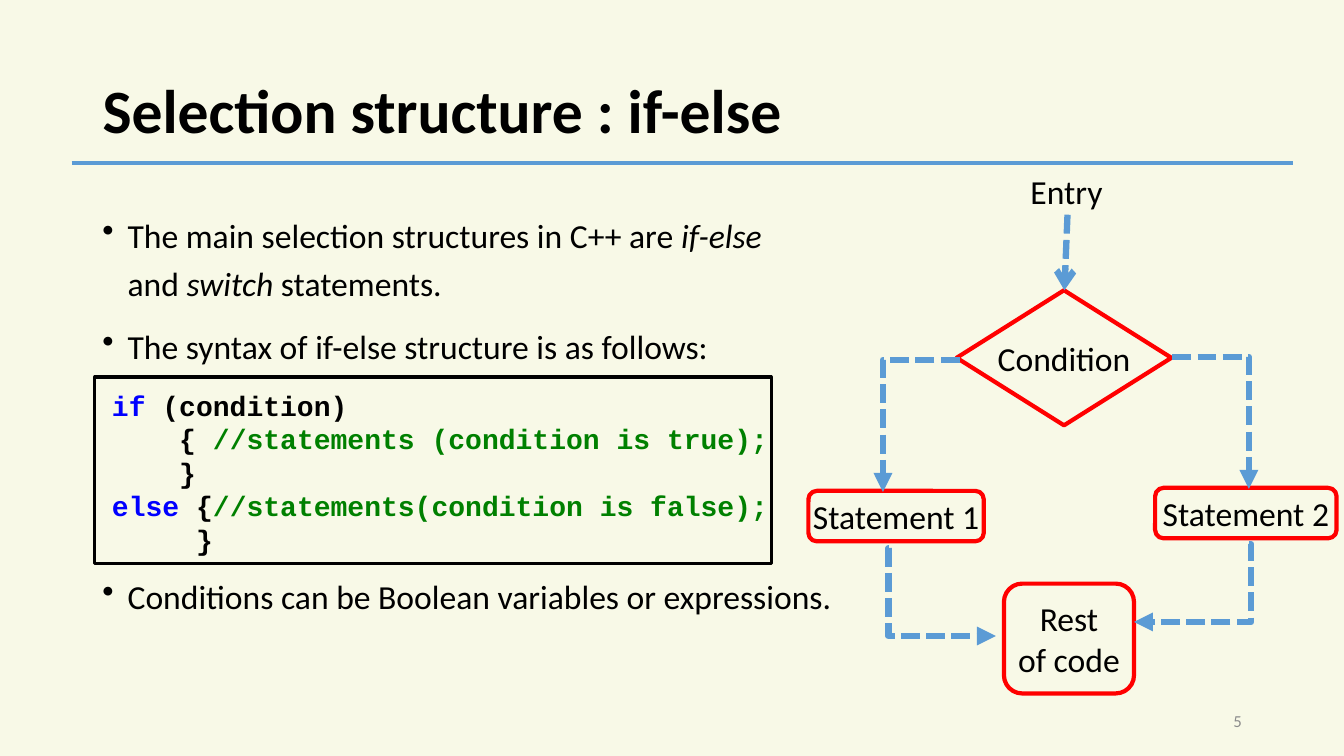
"""Build the slide on the if-else selection structure with its flowchart."""
from typing import NamedTuple, Optional

from pptx import Presentation
from pptx.dml.color import RGBColor
from pptx.enum.dml import MSO_LINE
from pptx.enum.shapes import MSO_CONNECTOR, MSO_SHAPE
from pptx.enum.text import MSO_ANCHOR, PP_ALIGN
from pptx.oxml.ns import qn
from pptx.oxml.xmlchemy import OxmlElement
from pptx.util import Inches, Pt

CREAM = RGBColor(0xF8, 0xF9, 0xE7)
BLACK = RGBColor(0, 0, 0)
GREY = RGBColor(0x8C, 0x8C, 0x8C)
BLUE = RGBColor(0x5B, 0x9B, 0xD5)
RED = RGBColor(0xFF, 0, 0)
KEYWORD = RGBColor(0, 0, 0xFF)
REMARK = RGBColor(0, 0x80, 0)
SLIDE_WIDTH, SLIDE_HEIGHT = Inches(13.333), Inches(7.5)


class Area(NamedTuple):
    """Left, top, width and height in percent of the slide."""
    left: float
    top: float
    width: float
    height: float


class Piece(NamedTuple):
    """A run of text with its look."""
    text: str
    size: float = 24
    color: RGBColor = BLACK
    bold: bool = False
    italic: bool = False
    font: str = "Calibri"


class Node(NamedTuple):
    """A flowchart step."""
    lines: tuple[str, ...]
    outline: MSO_SHAPE
    area: Area


class Link(NamedTuple):
    """A line between two points in percent of the slide."""
    start: tuple[float, float]
    end: tuple[float, float]
    geometry: str = "line"
    bend: Optional[int] = None
    head: Optional[str] = "triangle"
    weight: float = 4.5


NODES = (
    Node(("Condition",), MSO_SHAPE.FLOWCHART_DECISION, Area(71.18, 38.4, 15.98, 17.87)),
    Node(("Statement 1",), MSO_SHAPE.ROUNDED_RECTANGLE, Area(60.15, 64.93, 13.05, 6.67)),
    Node(("Statement 2",), MSO_SHAPE.ROUNDED_RECTANGLE, Area(85.95, 64.53, 13.5, 6.67)),
    Node(("Rest", "of code"), MSO_SHAPE.ROUNDED_RECTANGLE, Area(74.7, 77.2, 9.68, 14.53)),
)
LINKS = (
    Link((5.33, 21.6), (96.23, 21.6), head=None, weight=3),
    Link((79.43, 28.4), (79.2, 38.4), head="arrow"),
    Link((87.23, 47.2), (92.93, 64.67), "bentConnector2"),
    Link((71.4, 47.6), (65.7, 65.07), "bentConnector2"),
    Link((66.15, 72.53), (74.1, 84.13), "bentConnector3", -600),
    Link((92.93, 72), (84.38, 82.27), "bentConnector3", -2100),
)
BULLETS = (
    (0, (Piece("The main selection structures in C++ are "), Piece("if-else", italic=True),
         Piece("\n"), Piece("and "), Piece("switch", italic=True), Piece(" statements."))),
    (10, (Piece("The syntax of if-else structure is as follows:"),)),
    (144, (Piece("Conditions can be Boolean variables or expressions."),)),
)
CODE = (
    (("if", KEYWORD), (" (condition)", BLACK)),
    (("    { ", BLACK), ("//statements (condition is true);", REMARK)),
    (("    }", BLACK),),
    (("else", KEYWORD), (" {", BLACK), ("//statements(condition is false);", REMARK)),
    (("     }", BLACK),),
)


def across(percent: float) -> int:
    """Turn a share of the width into a length."""
    return round(SLIDE_WIDTH * percent / 100)


def down(percent: float) -> int:
    """Turn a share of the height into a length."""
    return round(SLIDE_HEIGHT * percent / 100)


def place(area: Area) -> tuple[int, int, int, int]:
    """Turn an area into lengths."""
    return across(area.left), down(area.top), across(area.width), down(area.height)


def write(paragraph, pieces: tuple[Piece, ...], align=PP_ALIGN.LEFT) -> None:
    """Add the pieces to a paragraph run by run."""
    paragraph.alignment = align
    for piece in pieces:
        if piece.text == "\n":
            paragraph.add_line_break()
            continue
        run = paragraph.add_run()
        run.text = piece.text
        font = run.font
        font.name, font.size = piece.font, Pt(piece.size)
        font.bold, font.italic = piece.bold, piece.italic
        font.color.rgb = piece.color


def write_lines(frame, lines, align=PP_ALIGN.LEFT) -> None:
    """Write one paragraph for each line."""
    for number, pieces in enumerate(lines):
        paragraph = frame.add_paragraph() if number else frame.paragraphs[0]
        write(paragraph, pieces, align)


def add_caption(slide, area: Area, piece: Piece, align) -> None:
    """Add a single line of free text."""
    frame = slide.shapes.add_textbox(*place(area)).text_frame
    frame.word_wrap = True
    frame.vertical_anchor = MSO_ANCHOR.MIDDLE
    write(frame.paragraphs[0], (piece,), align)


def add_outline(slide, kind, area: Area, color: RGBColor, weight: float):
    """Add an unfilled shape and return its text frame without margins."""
    shape = slide.shapes.add_shape(kind, *place(area))
    shape.shadow.inherit = False
    shape.fill.background()
    shape.line.color.rgb, shape.line.width = color, Pt(weight)
    frame = shape.text_frame
    frame.margin_left = frame.margin_right = frame.margin_top = frame.margin_bottom = 0
    return frame


def add_node(slide, node: Node) -> None:
    """Draw a flowchart step with its label."""
    frame = add_outline(slide, node.outline, node.area, RED, 3)
    frame.word_wrap = False
    frame.vertical_anchor = MSO_ANCHOR.MIDDLE
    write_lines(frame, [(Piece(line),) for line in node.lines], PP_ALIGN.CENTER)


def add_link(slide, link: Link) -> None:
    """Draw a straight or bent line, dashed where it has an arrowhead."""
    kind = MSO_CONNECTOR.STRAIGHT if link.geometry == "line" else MSO_CONNECTOR.ELBOW
    (x1, y1), (x2, y2) = link.start, link.end
    connector = slide.shapes.add_connector(kind, across(x1), down(y1), across(x2), down(y2))
    connector.line.color.rgb, connector.line.width = BLUE, Pt(link.weight)
    properties = connector._element.spPr
    geometry = properties.find(qn("a:prstGeom"))
    geometry.set("prst", link.geometry)
    if link.bend is not None:
        guide = OxmlElement("a:gd")
        guide.set("name", "adj1")
        guide.set("fmla", f"val {link.bend}")
        geometry.find(qn("a:avLst")).append(guide)
    if link.head:
        connector.line.dash_style = MSO_LINE.SQUARE_DOT
        tail = OxmlElement("a:tailEnd")
        tail.set("type", link.head)
        properties.find(qn("a:ln")).append(tail)
    properties.append(OxmlElement("a:effectLst"))


def add_bullets(slide) -> None:
    """Write the bulleted explanation."""
    frame = slide.shapes.add_textbox(*place(Area(6.88, 26.67, 86.25, 63.47))).text_frame
    frame.word_wrap = True
    write_lines(frame, [pieces for _, pieces in BULLETS])
    for paragraph, (space, _) in zip(frame.paragraphs, BULLETS):
        paragraph.line_spacing, paragraph.space_before = 1.2, Pt(space)
        properties = paragraph._p.get_or_add_pPr()
        properties.set("marL", str(Inches(0.25)))
        properties.set("indent", str(-Inches(0.25)))
        bullet = OxmlElement("a:buChar")
        bullet.set("char", "•")
        properties.append(bullet)


def add_code(slide) -> None:
    """Write the framed syntax listing."""
    area = Area(7.05, 49.87, 50.33, 24.67)
    frame = add_outline(slide, MSO_SHAPE.RECTANGLE, area, BLACK, 2.25)
    frame.word_wrap = True
    frame.vertical_anchor = MSO_ANCHOR.TOP
    frame.margin_left, frame.margin_top = across(1.28), down(1.47)
    write_lines(frame, [[Piece(text, 20, color, bold=True, font="Courier New")
                         for text, color in line] for line in CODE])


def main() -> None:
    """Assemble and save the slide."""
    deck = Presentation()
    deck.slide_width, deck.slide_height = SLIDE_WIDTH, SLIDE_HEIGHT
    slide = deck.slides.add_slide(deck.slide_layouts[5])
    slide.background.fill.solid()
    slide.background.fill.fore_color.rgb = CREAM
    title = slide.shapes.title
    title.left, title.top, title.width, title.height = place(Area(6.88, 5.33, 86.25, 19.33))
    title.text_frame.vertical_anchor = MSO_ANCHOR.MIDDLE
    heading = title.text_frame.paragraphs[0]
    heading.line_spacing = 0.9
    write(heading, (Piece("Selection structure : if-else", 44, bold=True),))
    add_bullets(slide)
    add_code(slide)
    add_caption(slide, Area(75.68, 21.87, 7.35, 6.67), Piece("Entry"), PP_ALIGN.CENTER)
    for node in NODES:
        add_node(slide, node)
    for link in LINKS:
        add_link(slide, link)
    add_caption(slide, Area(70.65, 92.67, 22.5, 5.33), Piece("5", 12, GREY), PP_ALIGN.RIGHT)
    deck.save("out.pptx")


if __name__ == "__main__":
    main()
